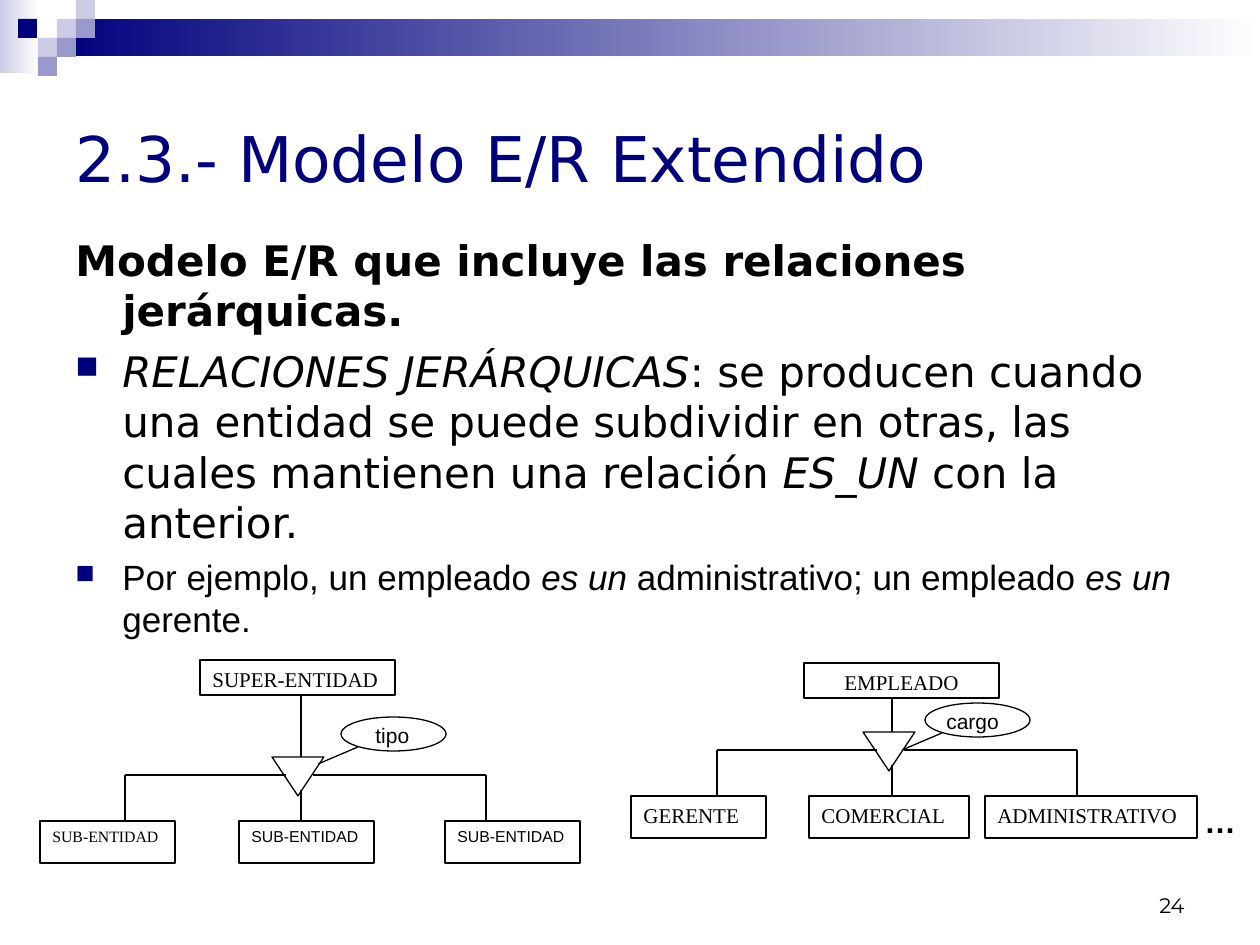
import pptx
import pptx.dml.color
import pptx.enum.shapes
import pptx.enum.text
import pptx.oxml.ns
import pptx.util
from dataclasses import dataclass
from lxml import etree

EMU_PER_PX = 914400 / 126
SHAPES = pptx.enum.shapes.MSO_SHAPE
ALIGN = pptx.enum.text.PP_ALIGN
ANCHOR = pptx.enum.text.MSO_ANCHOR


def px(length):
    return pptx.util.Emu(round(length * EMU_PER_PX))


@dataclass(frozen=True)
class Theme:
    navy: str = "00007D"
    violet: str = "9999CC"
    lavender: str = "CCCCE6"
    white: str = "FFFFFF"
    black: str = "000000"
    display: str = "DejaVu Sans"
    sans: str = "Arial"
    serif: str = "Times New Roman"
    number: str = "Montserrat"
    title_size: int = 36
    body_size: int = 24
    example_size: int = 20
    dots_size: int = 18
    label_size: int = 12
    small_size: int = 9
    line_width: float = 0.75


class SlideBuilder:
    def __init__(self, slide, theme):
        self.slide = slide
        self.theme = theme

    def color(self, value):
        return pptx.dml.color.RGBColor.from_string(value)

    def run(self, paragraph, text, font, size, color=None, bold=False, italic=False):
        run = paragraph.add_run()
        run.text = text
        run.font.name = font
        run.font.size = pptx.util.Pt(size)
        run.font.bold = bold
        run.font.italic = italic
        run.font.color.rgb = self.color(color or self.theme.black)

    def frame(self, shape, anchor=ANCHOR.TOP):
        frame = shape.text_frame
        frame.word_wrap = True
        frame.vertical_anchor = anchor
        frame.paragraphs[0].alignment = ALIGN.LEFT
        return frame

    def text_box(self, left, top, width, height, anchor=ANCHOR.TOP):
        box = self.slide.shapes.add_textbox(px(left), px(top), px(width), px(height))
        return self.frame(box, anchor)

    def label(self, left, top, width, height, text, font, size,
              color=None, bold=False, align=ALIGN.LEFT, anchor=ANCHOR.TOP):
        paragraph = self.text_box(left, top, width, height, anchor).paragraphs[0]
        paragraph.alignment = align
        self.run(paragraph, text, font, size, color, bold)

    def shape(self, kind, left, top, width, height, fill=None, outlined=True):
        shape = self.slide.shapes.add_shape(kind, px(left), px(top), px(width), px(height))
        shape.shadow.inherit = False
        if fill:
            shape.fill.solid()
            shape.fill.fore_color.rgb = self.color(fill)
        else:
            shape.fill.background()
        if outlined:
            shape.line.color.rgb = self.color(self.theme.black)
            shape.line.width = pptx.util.Pt(self.theme.line_width)
        else:
            shape.line.fill.background()
        return shape

    def fade(self, left, top, width, height, start):
        shape = self.shape(SHAPES.RECTANGLE, left, top, width, height, outlined=False)
        shape.fill.gradient()
        shape.fill.gradient_angle = 0
        for stop, color, position in zip(shape.fill.gradient_stops,
                                         (start, self.theme.white), (0, 1)):
            stop.color.rgb = self.color(color)
            stop.position = position

    def entity(self, left, top, width, height, text, font, size, align=ALIGN.LEFT):
        box = self.shape(SHAPES.RECTANGLE, left, top, width, height, self.theme.white)
        paragraph = self.frame(box).paragraphs[0]
        paragraph.alignment = align
        self.run(paragraph, text, font, size)

    def line(self, x1, y1, x2, y2):
        line = self.slide.shapes.add_connector(
            pptx.enum.shapes.MSO_CONNECTOR.STRAIGHT, px(x1), px(y1), px(x2), px(y2))
        line.line.color.rgb = self.color(self.theme.black)
        line.line.width = pptx.util.Pt(self.theme.line_width)
        etree.SubElement(line._element.spPr, pptx.oxml.ns.qn("a:effectLst"))

    def hanging(self, paragraph, space_before, bullet=True):
        paragraph.alignment = ALIGN.LEFT
        paragraph.space_before = pptx.util.Pt(space_before)
        properties = paragraph._p.get_or_add_pPr()
        properties.set("marL", str(px(47)))
        properties.set("indent", str(-px(47)))
        qn = pptx.oxml.ns.qn
        if not bullet:
            etree.SubElement(properties, qn("a:buNone"))
            return
        bullet_color = etree.SubElement(properties, qn("a:buClr"))
        etree.SubElement(bullet_color, qn("a:srgbClr"), val=self.theme.navy)
        etree.SubElement(properties, qn("a:buSzPct"), val="75000")
        etree.SubElement(properties, qn("a:buChar"), char="■")

    def hierarchy(self, parent, parent_align, middle, triangle_top, children, drops):
        """Parent entity, triangle and child entities joined by lines."""
        theme = self.theme
        left, top, name = parent
        bar = triangle_top + 18
        child_top = triangle_top + 64
        self.entity(left, top, 195, 35, name, theme.serif, theme.label_size, parent_align)
        self.line(middle, top + 35, middle, triangle_top)
        self.shape(SHAPES.FLOWCHART_MERGE, middle - 29, triangle_top, 52, 39, theme.white)
        self.line(middle, triangle_top + 33, middle, child_top)
        for drop, inner in zip(drops, (middle - 15, middle + 12)):
            self.line(drop, bar, inner, bar)
            self.line(drop, bar, drop, child_top)
        for child_left, width, text, font, size in children:
            self.entity(child_left, child_top, width, 42, text, font, size)

    def attribute(self, left, top, text, text_offset, text_width):
        self.line(left + 17, top + 30, left - 23, top + 47)
        self.shape(SHAPES.OVAL, left, top, 105, 34)
        self.label(left + text_offset, top - 1, text_width, 38, text,
                   self.theme.sans, self.theme.label_size)


def main():
    presentation = pptx.Presentation()
    presentation.slide_width = px(1260)
    presentation.slide_height = px(945)
    theme = Theme()
    builder = SlideBuilder(
        presentation.slides.add_slide(presentation.slide_layouts[6]), theme)

    # Header band and checker squares
    builder.fade(0, 0, 39, 73, theme.lavender)
    builder.fade(57, 19, 1203, 37, theme.navy)
    squares = [(57, 19, theme.lavender), (76, 0, theme.lavender), (76, 19, theme.violet),
               (38, 38, theme.lavender), (18, 19, theme.navy), (57, 38, theme.violet),
               (38, 57, theme.violet)]
    for left, top, color in squares:
        builder.shape(SHAPES.RECTANGLE, left, top, 19, 19, color, outlined=False)

    # Page number and title
    builder.label(903, 861, 294, 63, "24", theme.number, theme.label_size,
                  align=ALIGN.RIGHT, anchor=ANCHOR.BOTTOM)
    builder.label(63, 63, 1134, 189, "2.3.- Modelo E/R Extendido", theme.display,
                  theme.title_size, theme.navy, anchor=ANCHOR.MIDDLE)

    # Body text
    body = builder.text_box(63, 228, 1134, 669)
    heading = body.paragraphs[0]
    builder.hanging(heading, 6, bullet=False)
    builder.run(heading, "Modelo E/R que incluye las relaciones jerárquicas.",
                theme.display, theme.body_size, bold=True)
    bullets = [
        (6, theme.display, theme.body_size, [
            ("RELACIONES JERÁRQUICAS", True),
            (": se producen cuando una entidad se puede subdividir en otras, "
             "las cuales mantienen una relación ", False),
            ("ES_UN", True), (" con la anterior.", False)]),
        (5, theme.sans, theme.example_size, [
            ("Por ejemplo, un empleado ", False), ("es un ", True),
            ("administrativo; un empleado ", False), ("es un", True),
            (" gerente.", False)]),
    ]
    for space_before, font, size, runs in bullets:
        paragraph = body.add_paragraph()
        builder.hanging(paragraph, space_before)
        for text, italic in runs:
            builder.run(paragraph, text, font, size, italic=italic)

    # Example hierarchy
    jobs = [(631, 135, "GERENTE"), (809, 160, "COMERCIAL"), (985, 212, "ADMINISTRATIVO")]
    builder.hierarchy((804, 663, "EMPLEADO"), ALIGN.CENTER, 892, 732,
                      [(*job, theme.serif, theme.label_size) for job in jobs], (717, 1077))
    builder.attribute(925, 703, "cargo", 9, 115)
    builder.label(1192, 796, 52, 50, "…", theme.sans, theme.dots_size, bold=True)

    # General hierarchy
    parts = [(40, theme.serif), (239, theme.sans), (445, theme.sans)]
    builder.hierarchy((200, 660, "SUPER-ENTIDAD"), ALIGN.LEFT, 301, 757,
                      [(left, 135, "SUB-ENTIDAD", font, theme.small_size)
                       for left, font in parts], (125, 486))
    builder.attribute(341, 717, "tipo", 22, 82)

    presentation.save("out.pptx")


if __name__ == "__main__":
    main()
